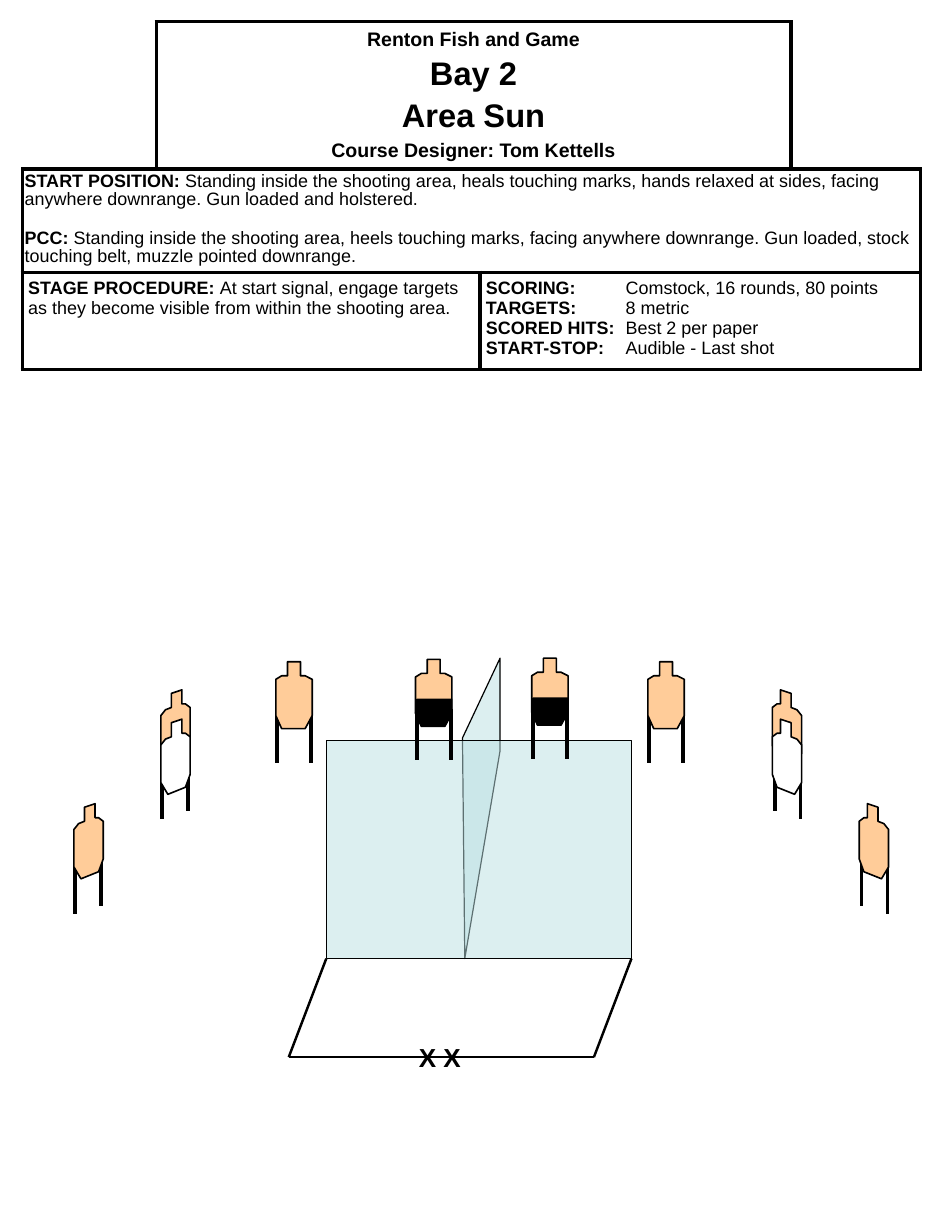
from dataclasses import dataclass

from lxml import etree
from pptx import Presentation
from pptx.dml.color import RGBColor
from pptx.enum.shapes import MSO_CONNECTOR, MSO_SHAPE
from pptx.enum.text import MSO_ANCHOR, PP_ALIGN
from pptx.oxml.ns import qn
from pptx.util import Pt

STRAIGHT = MSO_CONNECTOR.STRAIGHT
RECTANGLE = MSO_SHAPE.RECTANGLE
CENTER, LEFT = PP_ALIGN.CENTER, PP_ALIGN.LEFT
MIDDLE, TOP = MSO_ANCHOR.MIDDLE, MSO_ANCHOR.TOP
PX = 9144

FRONT_OUTLINE = [(10, 0), (21, 0), (21, 12), (25, 12), (31, 15), (31, 46),
                 (25, 57), (5, 57), (0, 46), (0, 15), (5, 12), (10, 12)]
HARD_COVER = [(1, 34), (31, 34), (31, 46), (25, 57), (5, 57), (0, 46)]
SIDE_OUTLINE = [(9, 3), (18, 0), (18, 12), (21, 12), (25, 15), (25, 47),
                (21, 58), (6, 64), (0, 54), (0, 22), (4, 17), (9, 15)]
SIDE_WIDTH = 25


@dataclass(frozen=True)
class Theme:
    font: str = "Arial"
    black: str = "000000"
    white: str = "FFFFFF"
    cardboard: str = "FFCC99"
    wall: str = "BBE0E3"
    body: float = 11
    label: float = 12
    mark: float = 16
    heading: float = 20
    border: float = 2.25
    boundary: float = 1.5
    outline: float = 1
    thin: float = 0.75


class StageSlide:
    def __init__(self, slide, theme):
        self.slide = slide
        self.theme = theme

    def paragraph(self, frame, index, runs, size, align=LEFT, before=0, spacing=None, tab=None):
        paragraph = frame.paragraphs[0] if index == 0 else frame.add_paragraph()
        if tab:
            tabs = etree.SubElement(paragraph._p.get_or_add_pPr(), qn("a:tabLst"))
            etree.SubElement(tabs, qn("a:tab"), pos=str(tab * PX), algn="l")
        paragraph.alignment = align
        if index and before:
            paragraph.space_before = Pt(before)
        if spacing:
            paragraph.line_spacing = spacing
        for text, bold in runs:
            run = paragraph.add_run()
            run.text = text
            run.font.name = self.theme.font
            run.font.size = Pt(size)
            run.font.bold = bold
            run.font.color.rgb = RGBColor.from_string(self.theme.black)

    def table(self, left, top, widths, heights):
        frame = self.slide.shapes.add_table(len(heights), len(widths), left * PX, top * PX,
                                            sum(widths) * PX, sum(heights) * PX)
        table = frame.table
        table.first_row = table.horz_banding = False
        for column, width in zip(table.columns, widths):
            column.width = width * PX
        for row, height in zip(table.rows, heights):
            row.height = height * PX
        return table

    def cell(self, cell, sides="LRTB", margins=(5, 5), anchor=TOP):
        cell.margin_left = cell.margin_right = margins[0] * PX
        cell.margin_top = cell.margin_bottom = margins[1] * PX
        cell.vertical_anchor = anchor
        properties = cell._tc.get_or_add_tcPr()
        for side in sides:
            line = etree.SubElement(properties, qn(f"a:ln{side}"), w=str(Pt(self.theme.border)))
            fill = etree.SubElement(line, qn("a:solidFill"))
            etree.SubElement(fill, qn("a:srgbClr"), val=self.theme.black)
        cell.fill.solid()
        cell.fill.fore_color.rgb = RGBColor.from_string(self.theme.white)

    def style(self, shape, fill, width, alpha=None):
        shape.shadow.inherit = False
        shape.fill.solid()
        shape.fill.fore_color.rgb = RGBColor.from_string(fill)
        if alpha:
            color = shape._element.spPr.find(qn("a:solidFill"))[0]
            etree.SubElement(color, qn("a:alpha"), val=str(alpha * 1000))
        shape.line.color.rgb = RGBColor.from_string(self.theme.black)
        shape.line.width = Pt(width)

    def rectangle(self, left, top, width, height, fill, line, alpha=None):
        shape = self.slide.shapes.add_shape(RECTANGLE, left * PX, top * PX, width * PX, height * PX)
        self.style(shape, fill, line, alpha)

    def polygon(self, shapes, points, fill, line, alpha=None):
        builder = shapes.build_freeform(*points[0], scale=PX)
        builder.add_line_segments(points[1:], close=True)
        self.style(builder.convert_to_shape(), fill, line, alpha)

    def line(self, shapes, start, end, width):
        connector = shapes.add_connector(STRAIGHT, *(value * PX for value in start + end))
        connector.line.color.rgb = RGBColor.from_string(self.theme.black)
        connector.line.width = Pt(width)
        etree.SubElement(connector._element.spPr, qn("a:effectLst"))

    def text(self, left, top, width, height, text, size):
        box = self.slide.shapes.add_textbox(left * PX, top * PX, width * PX, height * PX)
        box.text_frame.word_wrap = False
        self.paragraph(box.text_frame, 0, [(text, True)], size)

    def legs(self, shapes, tops, height):
        for x, y in tops:
            self.line(shapes, (x, y), (x, y + height), self.theme.border)

    def front_target(self, left, top, hard_cover=False):
        shapes = self.slide.shapes.add_group_shape().shapes
        self.legs(shapes, [(left + 1, top + 42), (left + 30, top + 42)], 44)
        layers = [(FRONT_OUTLINE, self.theme.cardboard, self.theme.outline)]
        if hard_cover:
            layers.append((HARD_COVER, self.theme.black, 0))
        for outline, fill, width in layers:
            self.polygon(shapes, [(left + x, top + y) for x, y in outline], fill, width)

    def side_target(self, left, top, mirrored=False, no_shoot=False):
        shapes = self.slide.shapes.add_group_shape().shapes

        def place(x, y):
            return left + (SIDE_WIDTH - x if mirrored else x), top + y

        drop = 16 if no_shoot else 0
        self.legs(shapes, [place(1, 51 + drop), place(23, 44 + drop)], 43)
        layers = [(0, self.theme.cardboard)]
        if no_shoot:
            layers.append((25, self.theme.white))
        for offset, fill in layers:
            points = [place(x, y + offset) for x, y in SIDE_OUTLINE]
            self.polygon(shapes, points, fill, self.theme.outline)


def add_briefing(stage):
    theme = stage.theme
    table = stage.table(19, 18, [114, 276, 265, 110], [126, 88, 83])
    sides = {(0, 0): "RB", (0, 3): "LB"}
    for row in range(3):
        for column in range(4):
            stage.cell(table.cell(row, column), sides.get((row, column), "LRTB"),
                       (2, 4) if row == 1 else (5, 5), MIDDLE if row == 0 else TOP)
    for row, first, last in [(0, 1, 2), (1, 0, 3), (2, 0, 1), (2, 2, 3)]:
        table.cell(row, first).merge(table.cell(row, last))

    headings = [("Renton Fish and Game", theme.label), ("Bay 2", theme.heading),
                ("Area Sun", theme.heading), ("Course Designer: Tom Kettells", theme.label)]
    for index, (text, size) in enumerate(headings):
        stage.paragraph(table.cell(0, 1).text_frame, index, [(text, True)], size, CENTER, before=3.5)

    positions = [
        ("START POSITION:", " Standing inside the shooting area, heals touching marks, hands relaxed "
         "at sides, facing anywhere downrange. Gun loaded and holstered."),
        ("PCC: ", "Standing inside the shooting area, heels touching marks, facing anywhere downrange. "
         "Gun loaded, stock touching belt, muzzle pointed downrange."),
    ]
    for index, (label, text) in enumerate(positions):
        stage.paragraph(table.cell(1, 0).text_frame, index, [(label, True), (text, False)],
                        theme.body, before=12.5, spacing=0.9)

    procedure = [("STAGE PROCEDURE: ", True),
                 ("At start signal, engage targets as they become visible from within "
                  "the shooting area.", False)]
    stage.paragraph(table.cell(2, 0).text_frame, 0, procedure, theme.body)

    scoring = [("SCORING:", "Comstock, 16 rounds, 80 points"), ("TARGETS:", "8 metric"),
               ("SCORED HITS:", "Best 2 per paper"), ("START-STOP:", "Audible - Last shot")]
    for index, (label, text) in enumerate(scoring):
        stage.paragraph(table.cell(2, 2).text_frame, index, [(label, True), ("\t" + text, False)],
                        theme.body, tab=119)


def add_bay(stage):
    theme, shapes = stage.theme, stage.slide.shapes
    stage.front_target(235, 564)
    stage.text(347, 883, 58, 37, "X X", theme.mark)
    stage.polygon(shapes, [(426, 640), (396, 817), (394, 629), (426, 561)], theme.wall, theme.thin, 50)
    stage.rectangle(278, 631, 260, 186, theme.wall, theme.thin, 50)
    corners = [(278, 817), (246, 901), (506, 901), (538, 817)]
    for start, end in zip(corners, corners[1:]):
        stage.line(shapes, start, end, theme.boundary)
    stage.side_target(732, 685, mirrored=True)
    stage.side_target(137, 588, no_shoot=True)
    stage.side_target(658, 588, mirrored=True, no_shoot=True)
    stage.side_target(63, 685)
    stage.front_target(354, 562, hard_cover=True)
    stage.front_target(552, 564)
    stage.front_target(453, 561, hard_cover=True)


def main():
    presentation = Presentation()
    presentation.slide_width = 800 * PX
    presentation.slide_height = 1050 * PX
    slide = presentation.slides.add_slide(presentation.slide_layouts[6])
    stage = StageSlide(slide, Theme())
    add_briefing(stage)
    add_bay(stage)
    presentation.save("out.pptx")


if __name__ == "__main__":
    main()
